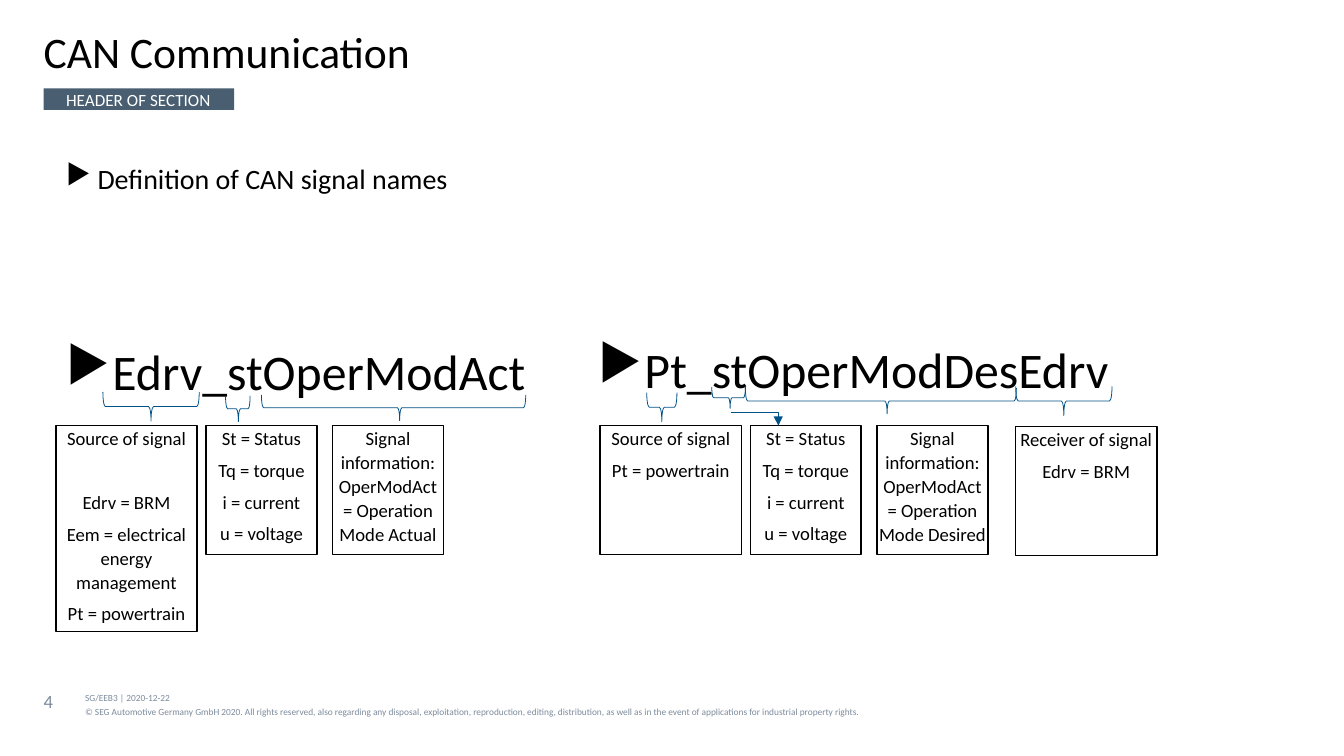
from lxml import etree
from pptx import Presentation
from pptx.dml.color import RGBColor
from pptx.enum.shapes import MSO_CONNECTOR, MSO_SHAPE
from pptx.enum.text import MSO_ANCHOR, PP_ALIGN
from pptx.oxml.ns import qn
from pptx.util import Pt

RECTANGLE, BRACE = MSO_SHAPE.RECTANGLE, MSO_SHAPE.LEFT_BRACE
ELBOW = MSO_CONNECTOR.ELBOW
TOP, MIDDLE = MSO_ANCHOR.TOP, MSO_ANCHOR.MIDDLE
LEFT, CENTER = PP_ALIGN.LEFT, PP_ALIGN.CENTER

BLACK = RGBColor(0x00, 0x00, 0x00)
WHITE = RGBColor(0xFF, 0xFF, 0xFF)
SLATE = RGBColor(0x49, 0x5E, 0x70)
GREY = RGBColor(0x7C, 0x8B, 0x9C)
BLUE = RGBColor(0x00, 0x52, 0x86)

FONT = "Calibri"
LINE_SPACING = 1.07
PARAGRAPH_GAP = 5
BLANK_LINE_GAP = 25.7
BULLET_INDENT = 20.2
SIDE_INSET = 14.4

# text, (left, top, width, height), size, colour, line spacing
PLAIN_TEXTS = [
    ("CAN Communication", (28.1, 20.2, 807, 30.2), 28, BLACK, 0.89),
    ("SG/EEB3 | 2020-12-22", (54.7, 444.2, 685, 8.6), 6, GREY, LINE_SPACING),
    ("© SEG Automotive Germany GmbH 2020. All rights reserved, also regarding any "
     "disposal, exploitation, reproduction, editing, distribution, as well as in the "
     "event of applications for industrial property rights.",
     (54.7, 453.6, 685, 17.3), 6, GREY, LINE_SPACING),
    ("4", (28.1, 443.5, 23, 32.4), 12, GREY, 1.0),
]

# text, (left, top, width, height), size
BULLET_TEXTS = [
    ("Definition of CAN signal names", (28.1, 102.2, 807, 30), 18),
    ("Edrv_stOperModAct", (28.1, 216.3, 340, 44), 32),
    ("Pt_stOperModDesEdrv", (370.1, 215.3, 460, 44), 32),
]

SECTION = ("HEADER OF SECTION", (28.1, 56.9, 122.4, 13.7))

BOX_TOP, BOX_HEIGHT = 273.6, 82.8
WIDE, NARROW = 90.7, 71.3
TYPE_LINES = ["St = Status", "Tq = torque", "i = current", "u = voltage"]

# left, top, width, height, lines; None leaves one line free
BOXES = [
    (36, BOX_TOP, WIDE, 132.5,
     ["Source of signal", None, "Edrv = BRM",
      "Eem = electrical energy management", "Pt = powertrain"]),
    (132.5, BOX_TOP, NARROW, BOX_HEIGHT, TYPE_LINES),
    (213.8, BOX_TOP, NARROW, BOX_HEIGHT,
     ["Signal information: OperModAct = Operation Mode Actual"]),
    (385.9, BOX_TOP, WIDE, BOX_HEIGHT, ["Source of signal", "Pt = powertrain"]),
    (482.4, BOX_TOP, NARROW, BOX_HEIGHT, TYPE_LINES),
    (563.8, BOX_TOP, NARROW, BOX_HEIGHT,
     ["Signal information: OperModAct = Operation Mode Desired"]),
    (653, 274.3, WIDE, BOX_HEIGHT, ["Receiver of signal", "Edrv = BRM"]),
]

# left, top, width, height as seen under the signal name, position of the tip
BRACES = [
    (66.2, 252, 61.9, 18.7, 0.5),
    (145, 254.5, 15.8, 16.6, 0.523),
    (168.1, 253.8, 169.9, 16.6, 0.523),
    (415.8, 252.4, 19.4, 18.7, 0.5),
    (457.6, 248.8, 21.6, 13.7, 0.547),
    (479.2, 249.5, 174.2, 16.6, 0.523),
    (653, 248.4, 61.9, 18.7, 0.5),
]

ARROW = (470.2, 265, 500.4, 273.6)


def points(values):
    return [Pt(value) for value in values]


def set_values(target, values):
    for name, value in values.items():
        setattr(target, name, value)


def set_frame(frame, inset=0, wrap=True, anchor=TOP):
    set_values(frame, {
        "margin_left": Pt(inset), "margin_right": Pt(inset),
        "margin_top": 0, "margin_bottom": 0,
        "word_wrap": wrap, "vertical_anchor": anchor,
    })


def write(paragraph, text, size, color, spacing=LINE_SPACING, align=LEFT):
    paragraph.text = text
    set_values(paragraph, {"line_spacing": spacing, "alignment": align})
    set_values(paragraph.font, {"name": FONT, "size": Pt(size)})
    paragraph.font.color.rgb = color


def add_bullet(paragraph):
    properties = paragraph._p.get_or_add_pPr()
    properties.set("marL", str(Pt(BULLET_INDENT)))
    properties.set("indent", str(-Pt(BULLET_INDENT)))
    etree.SubElement(properties, qn("a:buChar")).set("char", "▶")


def add_outline(slide, kind, place, color, width):
    shape = slide.shapes.add_shape(kind, *points(place))
    shape.shadow.inherit = False
    shape.fill.background()
    shape.line.color.rgb = color
    shape.line.width = Pt(width)
    return shape


def add_box(slide, place, lines):
    frame = add_outline(slide, RECTANGLE, place, BLACK, 1).text_frame
    set_frame(frame)
    paragraph, gap = frame.paragraphs[0], 0
    for index, line in enumerate(lines):
        if line is None:
            gap = BLANK_LINE_GAP
            continue
        if index:
            paragraph = frame.add_paragraph()
        write(paragraph, line, 12, BLACK, align=CENTER)
        paragraph.space_before = Pt(gap)
        gap = PARAGRAPH_GAP


def add_brace(slide, left, top, width, height, tip):
    """Turn a left brace so that its tip points down and it fills the given area."""
    place = (left + (width - height) / 2, top + (height - width) / 2, height, width)
    brace = add_outline(slide, BRACE, place, BLUE, 0.5)
    brace.rotation = 270
    brace.adjustments[1] = tip


def add_arrow(slide, ends):
    arrow = slide.shapes.add_connector(ELBOW, *points(ends))
    arrow.line.color.rgb = BLUE
    arrow.line.width = Pt(0.5)
    properties = arrow._element.spPr
    guides = properties.find(qn("a:prstGeom")).get_or_add_avLst()
    guide = etree.SubElement(guides, qn("a:gd"))
    guide.set("name", "adj1")
    guide.set("fmla", "val 99700")
    etree.SubElement(properties.find(qn("a:ln")), qn("a:tailEnd")).set("type", "triangle")
    etree.SubElement(properties, qn("a:effectLst"))


def main():
    presentation = Presentation()
    presentation.slide_width, presentation.slide_height = Pt(864), Pt(486)
    slide = presentation.slides.add_slide(presentation.slide_layouts[6])

    text, place = SECTION
    section = slide.shapes.add_shape(RECTANGLE, *points(place))
    section.shadow.inherit = False
    section.fill.solid()
    section.fill.fore_color.rgb = SLATE
    section.line.fill.background()
    set_frame(section.text_frame, SIDE_INSET, wrap=False, anchor=MIDDLE)
    write(section.text_frame.paragraphs[0], text, 11, WHITE, 1.0)

    for text, place, size, color, spacing in PLAIN_TEXTS:
        frame = slide.shapes.add_textbox(*points(place)).text_frame
        set_frame(frame)
        write(frame.paragraphs[0], text, size, color, spacing)

    for text, place, size in BULLET_TEXTS:
        frame = slide.shapes.add_textbox(*points(place)).text_frame
        set_frame(frame, SIDE_INSET)
        add_bullet(frame.paragraphs[0])
        write(frame.paragraphs[0], text, size, BLACK)

    for *place, lines in BOXES:
        add_box(slide, place, lines)
    for brace in BRACES:
        add_brace(slide, *brace)
    add_arrow(slide, ARROW)

    presentation.save("out.pptx")


if __name__ == "__main__":
    main()
